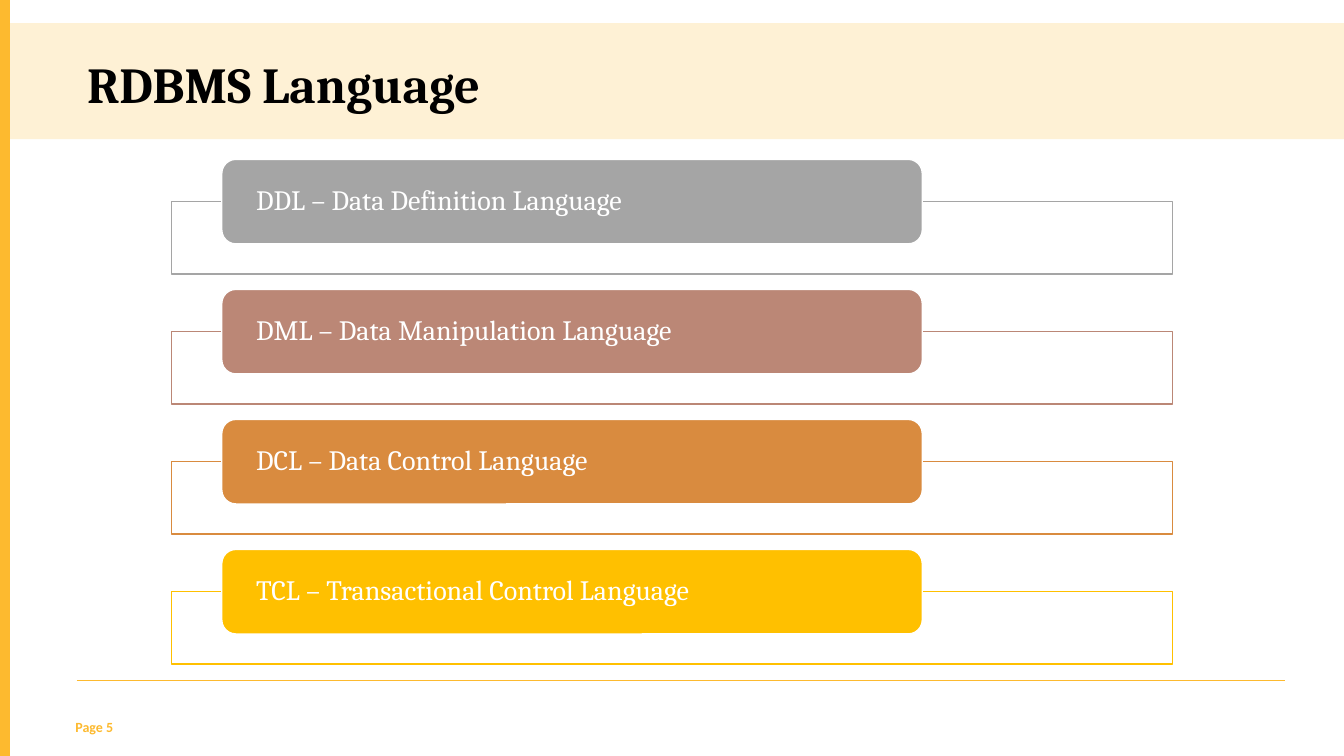
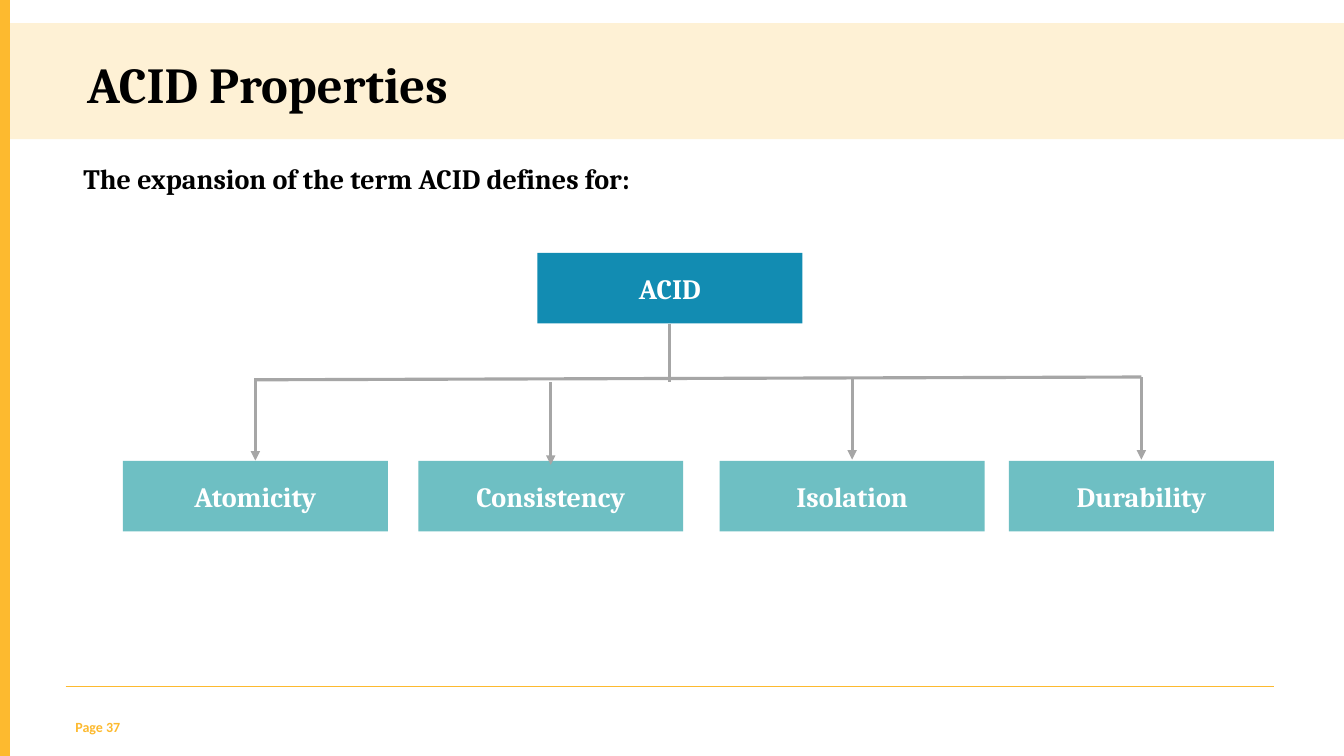
import dataclasses
from typing import Optional

import lxml.etree
import pptx
import pptx.dml.color
import pptx.enum.shapes
import pptx.enum.text
import pptx.oxml.ns
import pptx.presentation
import pptx.shapes.autoshape
import pptx.shapes.connector
import pptx.slide
import pptx.text.text
import pptx.util

Pt = pptx.util.Pt
qn = pptx.oxml.ns.qn
MSO_SHAPE = pptx.enum.shapes.MSO_SHAPE
PP_ALIGN = pptx.enum.text.PP_ALIGN
MSO_ANCHOR = pptx.enum.text.MSO_ANCHOR

SLIDE_W, SLIDE_H = 960, 540
HEAD_FONT, PAGE_FONT = "Cambria", "Calibri"
ACCENT, BLACK, WHITE = "FDBA2F", "000000", "FFFFFF"
ROOT_FILL, LEAF_FILL, ARROW_GREY = "128CB2", "6EBFC3", "A6A6A6"
TITLE_ONLY, TITLE_AND_CONTENT = 5, 1


@dataclasses.dataclass(frozen=True)
class Box:
    left: float
    top: float
    width: float
    height: float

    @property
    def centre(self) -> float:
        return self.left + self.width / 2

    @property
    def bottom(self) -> float:
        return self.top + self.height

    def lengths(self) -> tuple:
        return Pt(self.left), Pt(self.top), Pt(self.width), Pt(self.height)


@dataclasses.dataclass(frozen=True)
class Language:
    text: str
    color: str


@dataclasses.dataclass(frozen=True)
class Property:
    name: str
    left: float
    arrow_top: float


LANGUAGES = (
    Language("DDL – Data Definition Language", "A5A5A5"),
    Language("DML – Data Manipulation Language", "BB8776"),
    Language("DCL – Data Control Language", "D98B3F"),
    Language("TCL – Transactional Control Language", "FFC000"),
)
PROPERTIES = (
    Property("Atomicity", 87.8, 270),
    Property("Consistency", 298.8, 273),
    Property("Isolation", 514.1, 269.3),
    Property("Durability", 720.7, 269.3),
)


def rgb(color: str) -> pptx.dml.color.RGBColor:
    return pptx.dml.color.RGBColor.from_string(color)


def write(tf: pptx.text.text.TextFrame, text: str, size: float, color: str,
          font: str = HEAD_FONT, bold: bool = True,
          align: PP_ALIGN = PP_ALIGN.LEFT,
          anchor: MSO_ANCHOR = MSO_ANCHOR.TOP) -> None:
    tf.text = text
    tf.word_wrap = True
    tf.auto_size = pptx.enum.text.MSO_AUTO_SIZE.NONE
    tf.vertical_anchor = anchor
    p = tf.paragraphs[0]
    p.alignment = align
    p.space_before = Pt(0)
    for r in p.runs:
        r.font.name = font
        r.font.size = Pt(size)
        r.font.bold = bold
        r.font.color.rgb = rgb(color)


def add_box(s: pptx.slide.Slide, box: Box, fill: str,
            line: Optional[str] = None, opacity: int = 100,
            kind: MSO_SHAPE = MSO_SHAPE.RECTANGLE) -> pptx.shapes.autoshape.Shape:
    sp = s.shapes.add_shape(kind, *box.lengths())
    sp.shadow.inherit = False
    sp.fill.solid()
    sp.fill.fore_color.rgb = rgb(fill)
    if opacity < 100:
        clr = sp.element.spPr.find(qn("a:solidFill"))[0]
        lxml.etree.SubElement(clr, qn("a:alpha")).set("val", str(opacity * 1000))
    if line:
        sp.line.color.rgb = rgb(line)
        sp.line.width = Pt(1)
    else:
        sp.line.fill.background()
    return sp


def add_line(s: pptx.slide.Slide, x1: float, y1: float, x2: float, y2: float,
             color: str = ARROW_GREY, width: float = 2.25,
             arrow: bool = False) -> pptx.shapes.connector.Connector:
    cxn = s.shapes.add_connector(pptx.enum.shapes.MSO_CONNECTOR.STRAIGHT,
                                 Pt(x1), Pt(y1), Pt(x2), Pt(y2))
    cxn.line.color.rgb = rgb(color)
    cxn.line.width = Pt(width)
    if arrow:
        ln = cxn.element.spPr.find(qn("a:ln"))
        lxml.etree.SubElement(ln, qn("a:tailEnd")).set("type", "triangle")
    lxml.etree.SubElement(cxn.element.spPr, qn("a:effectLst"))
    return cxn


def place(sp: pptx.shapes.autoshape.Shape, box: Box) -> None:
    sp.left, sp.top, sp.width, sp.height = box.lengths()


def add_slide(prs: pptx.presentation.Presentation, layout: int, title: str,
              page: int, rule_left: float, rule_y: float) -> pptx.slide.Slide:
    """Add a slide with the shared band, side bar, title, rule and page number."""
    s = prs.slides.add_slide(prs.slide_layouts[layout])
    add_box(s, Box(0, 16.5, SLIDE_W, 83), ACCENT, opacity=20)
    add_box(s, Box(0, 0, 7, SLIDE_H), ACCENT)
    add_line(s, rule_left, rule_y, rule_left + 863, rule_y, ACCENT, 0.5)

    sp = s.shapes.title
    place(sp, Box(55, 34.5, 589, 51))
    write(sp.text_frame, title, 36, BLACK)
    s.shapes.element.append(sp.element)  # keeps the title in front of the band

    footer = s.shapes.add_textbox(*Box(46.8, 509.8, 57, 9.4).lengths())
    write(footer.text_frame, f"Page {page}", 10, ACCENT, PAGE_FONT)
    return s


def build_languages(prs: pptx.presentation.Presentation) -> None:
    s = add_slide(prs, TITLE_ONLY, "RDBMS Language", 5, 55, 486)
    first_top, pitch, label_h = 144, 92.88, 60.4
    for i, language in enumerate(LANGUAGES):
        top = first_top + i * pitch
        add_box(s, Box(122.4, top, 715, 51.8), WHITE, language.color, opacity=90)
        label = add_box(s, Box(158.4, top - label_h / 2, 500.4, label_h),
                        language.color, WHITE, kind=MSO_SHAPE.ROUNDED_RECTANGLE)
        tf = label.text_frame
        write(tf, language.text, 20, WHITE, bold=False, anchor=MSO_ANCHOR.MIDDLE)
        tf.margin_left = tf.margin_right = Pt(21.6)
        tf.margin_top = tf.margin_bottom = Pt(0)
        tf.paragraphs[0].line_spacing = 0.9


def build_acid(prs: pptx.presentation.Presentation) -> None:
    s = add_slide(prs, TITLE_AND_CONTENT, "ACID Properties", 37, 46.8, 490.3)
    body = s.placeholders[1]
    place(body, Box(52.4, 111.6, 855, 31.7))
    write(body.text_frame, "The expansion of the term ACID defines for:", 20, BLACK)
    pPr = body.text_frame.paragraphs[0]._p.get_or_add_pPr()
    pPr.set("marL", "0")
    pPr.set("indent", "0")
    lxml.etree.SubElement(pPr, qn("a:buNone"))

    box_w, box_h, leaf_top, arrow_h = 189.2, 50.4, 329.2, 59
    root = Box(383.9, 180.7, box_w, box_h)
    leaves = [Box(prop.left, leaf_top, box_w, box_h) for prop in PROPERTIES]
    names = ["ACID"] + [prop.name for prop in PROPERTIES]
    fills = [ROOT_FILL] + [LEAF_FILL] * len(leaves)
    for name, box, fill in zip(names, [root] + leaves, fills):
        sp = add_box(s, box, fill)
        write(sp.text_frame, name, 20, WHITE, align=PP_ALIGN.CENTER,
              anchor=MSO_ANCHOR.MIDDLE)

    add_line(s, leaves[0].centre, 271.3, leaves[-1].centre, 269.3)
    add_line(s, root.centre, root.bottom, root.centre, 273)
    for prop, leaf in zip(PROPERTIES, leaves):
        add_line(s, leaf.centre, prop.arrow_top, leaf.centre,
                 prop.arrow_top + arrow_h, arrow=True)


def main() -> None:
    prs = pptx.Presentation()
    prs.slide_width, prs.slide_height = Pt(SLIDE_W), Pt(SLIDE_H)
    build_languages(prs)
    build_acid(prs)
    prs.save("out.pptx")


if __name__ == "__main__":
    main()
